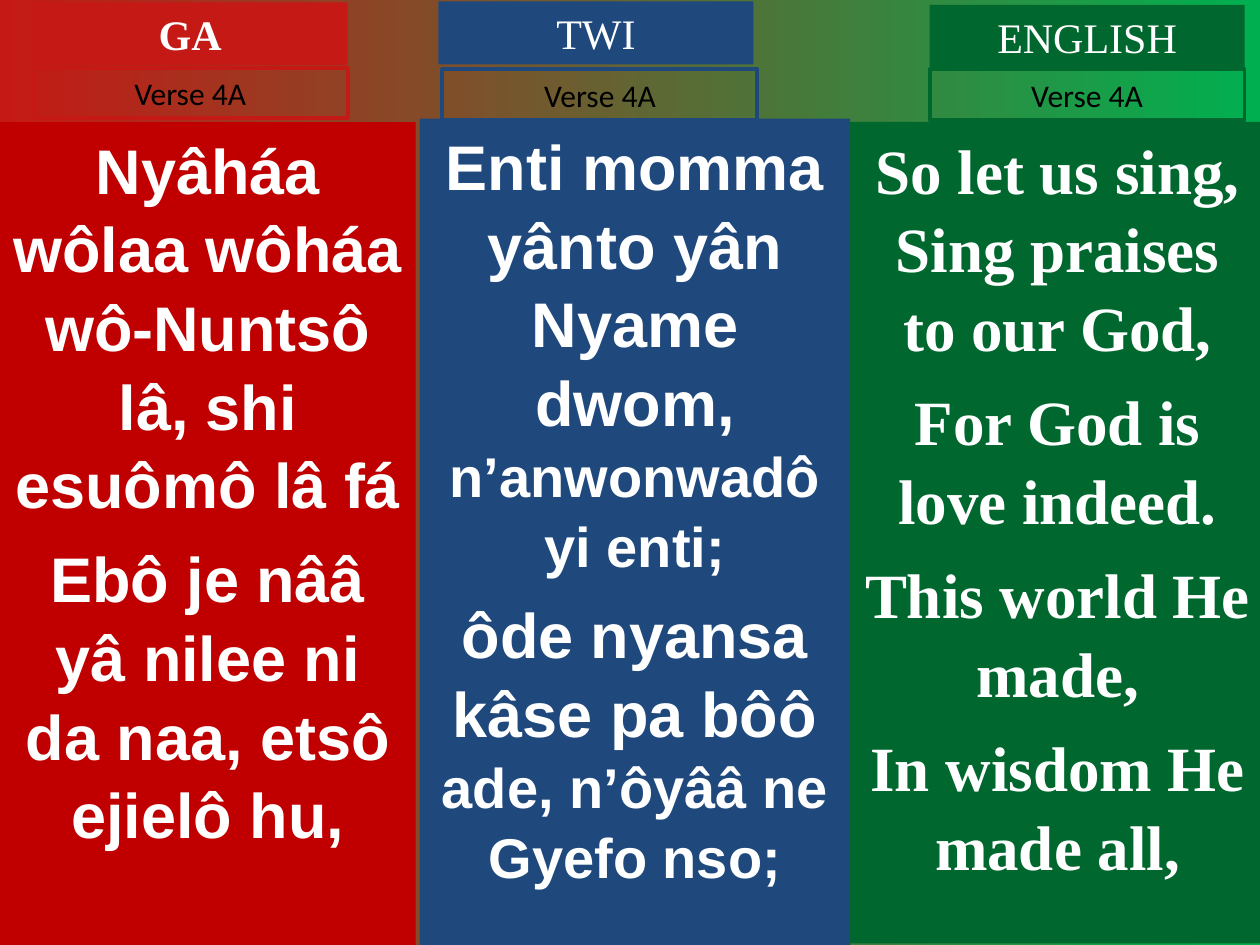
"""Build a hymn slide with one verse in Ga, Twi and English."""
from pptx import Presentation
from pptx.dml.color import RGBColor
from pptx.enum.shapes import MSO_SHAPE
from pptx.enum.text import MSO_ANCHOR, MSO_AUTO_SIZE, PP_ALIGN
from pptx.oxml.ns import qn
from pptx.util import Cm, Pt
from lxml.etree import SubElement

COLORS = {"red": "C51915", "lime": "00B050", "ga": "C00000", "twi": "1F497D",
          "english": "00682F", "white": "FFFFFF", "black": "000000"}
SERIF = "Times New Roman"


class HymnSlide:
    """Style and drawing methods for the current slide."""

    def __init__(self, deck):
        self.slide = deck.slides.add_slide(deck.slide_layouts[3])
        title, *self.lyric_slots = self.slide.placeholders
        title.element.getparent().remove(title.element)

    def color(self, name):
        return RGBColor.from_string(COLORS[name])

    def background(self, start, end):
        fill = self.slide.background.fill
        fill.gradient()
        fill.gradient_angle = 0
        for stop, name, position in zip(fill.gradient_stops, (start, end), (0, 1)):
            stop.color.rgb = self.color(name)
            stop.position = position

    def box(self, place):
        shape = self.slide.shapes.add_shape(MSO_SHAPE.RECTANGLE, *map(Cm, place))
        shape.shadow.inherit = False
        return shape

    def fill(self, shape, name):
        shape.fill.solid()
        shape.fill.fore_color.rgb = self.color(name)
        shape.line.fill.background()

    def style(self, paragraph, font, size, ink, bold=False):
        paragraph.alignment = PP_ALIGN.CENTER
        paragraph.font.name = font
        paragraph.font.size = Pt(size) if size else None
        paragraph.font.bold = bold
        paragraph.font.color.rgb = self.color(ink)

    def label(self, text, place, font, size, ink, bold=False):
        shape = self.box(place)
        shape.text_frame.text = text
        shape.text_frame.vertical_anchor = MSO_ANCHOR.TOP
        self.style(shape.text_frame.paragraphs[0], font, size, ink, bold)
        return shape

    def heading(self, text, place, accent, bold):
        self.fill(self.label(text, place, SERIF, 24, "white", bold), accent)

    def verse_number(self, text, place, accent):
        frame = self.label(text, place, "Calibri", 18, "black")
        frame.fill.background()
        frame.line.color.rgb = self.color(accent)
        frame.line.width = Pt(2.25)

    def lyrics(self, stanzas, place, accent, font, gap):
        if self.lyric_slots:
            panel = self.lyric_slots.pop(0)
            panel.left, panel.top, panel.width, panel.height = map(Cm, place)
        else:
            panel = self.box(place)
        self.fill(panel, accent)
        frame = panel.text_frame
        frame.word_wrap = True
        frame.auto_size = MSO_AUTO_SIZE.NONE
        frame.vertical_anchor = MSO_ANCHOR.TOP
        for index, stanza in enumerate(stanzas):
            paragraph = frame.add_paragraph() if index else frame.paragraphs[0]
            props = paragraph._p.get_or_add_pPr()
            props.set("marL", "0")
            props.set("indent", "0")
            SubElement(props, qn("a:buNone"))
            paragraph.line_spacing = 1.04
            paragraph.space_before = Pt(gap if index else 0)
            self.style(paragraph, font, 36 if len(stanza) == 1 else None, "white", True)
            for text, size in zip(stanza, (36, 32)):
                run = paragraph.add_run()
                run.text = text
                if len(stanza) > 1:
                    run.font.size = Pt(size)


def main():
    deck = Presentation()
    deck.slide_width, deck.slide_height = Cm(25.4), Cm(19.05)
    hymn = HymnSlide(deck)
    hymn.background("red", "lime")

    hymn.lyrics([["Nyâháa wôlaa wôháa wô-Nuntsô lâ, shi esuômô lâ fá"],
                 ["Ebô je nââ yâ nilee ni da naa, etsô ejielô hu,"]],
                (0, 2.46, 8.38, 16.59), "ga", "Arial", 9)
    hymn.lyrics([["Enti momma yânto yân Nyame dwom, ", "n’anwonwadô yi enti;"],
                 ["ôde nyansa kâse pa bôô ", "ade, n’ôyââ ne Gyefo nso;"]],
                (8.46, 2.39, 8.68, 16.66), "twi", "Arial", 8)
    hymn.lyrics([["So let us sing, Sing praises to our God,"],
                 ["For God is love indeed."],
                 ["This world He made,"],
                 ["In wisdom He made all,"]],
                (17.14, 2.46, 8.36, 16.56), "english", SERIF, 9)

    width = 6.35
    for language, accent, left, top, verse_left, verse_top, bold in (
            ("GA", "red", 0.66, 0.05, 0.66, 1.37, True),
            ("TWI", "twi", 8.84, 0.03, 8.92, 1.4, False),
            ("ENGLISH", "english", 18.74, 0.1, 18.74, 1.4, False)):
        hymn.heading(language, (left, top, width, 1.27), accent, bold)
        hymn.verse_number("Verse 4A", (verse_left, verse_top, width, 1.02), accent)

    deck.save("out.pptx")


if __name__ == "__main__":
    main()
